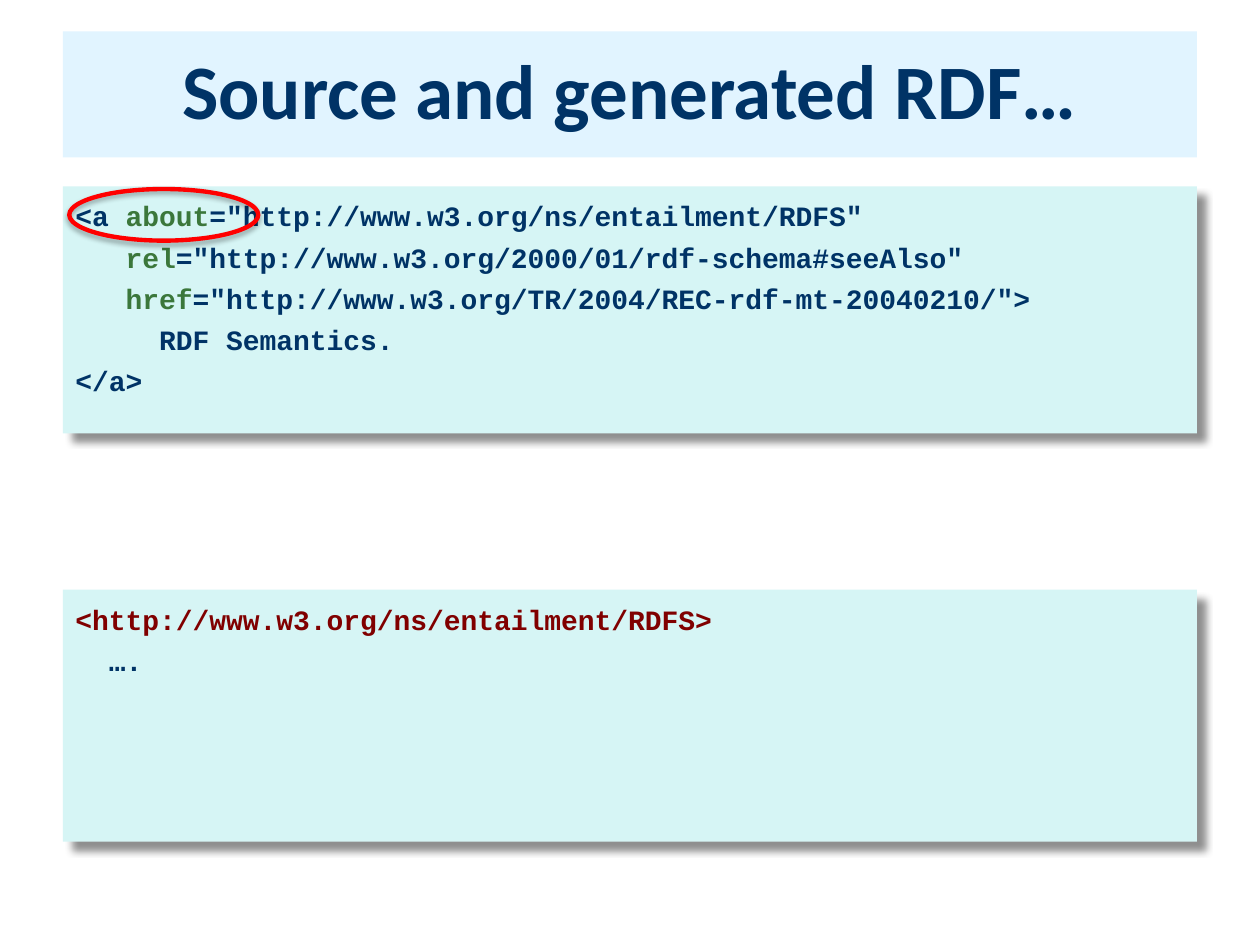
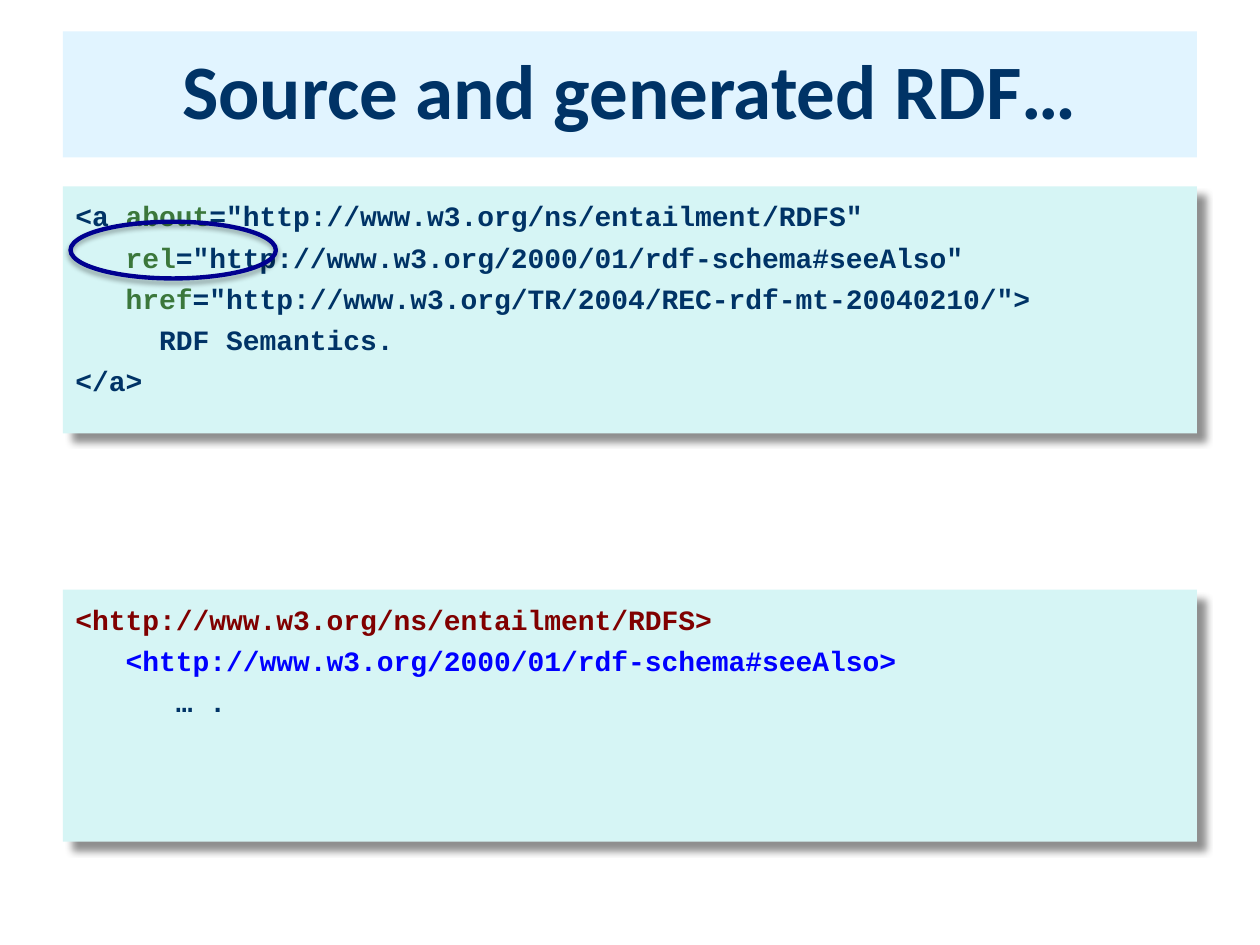
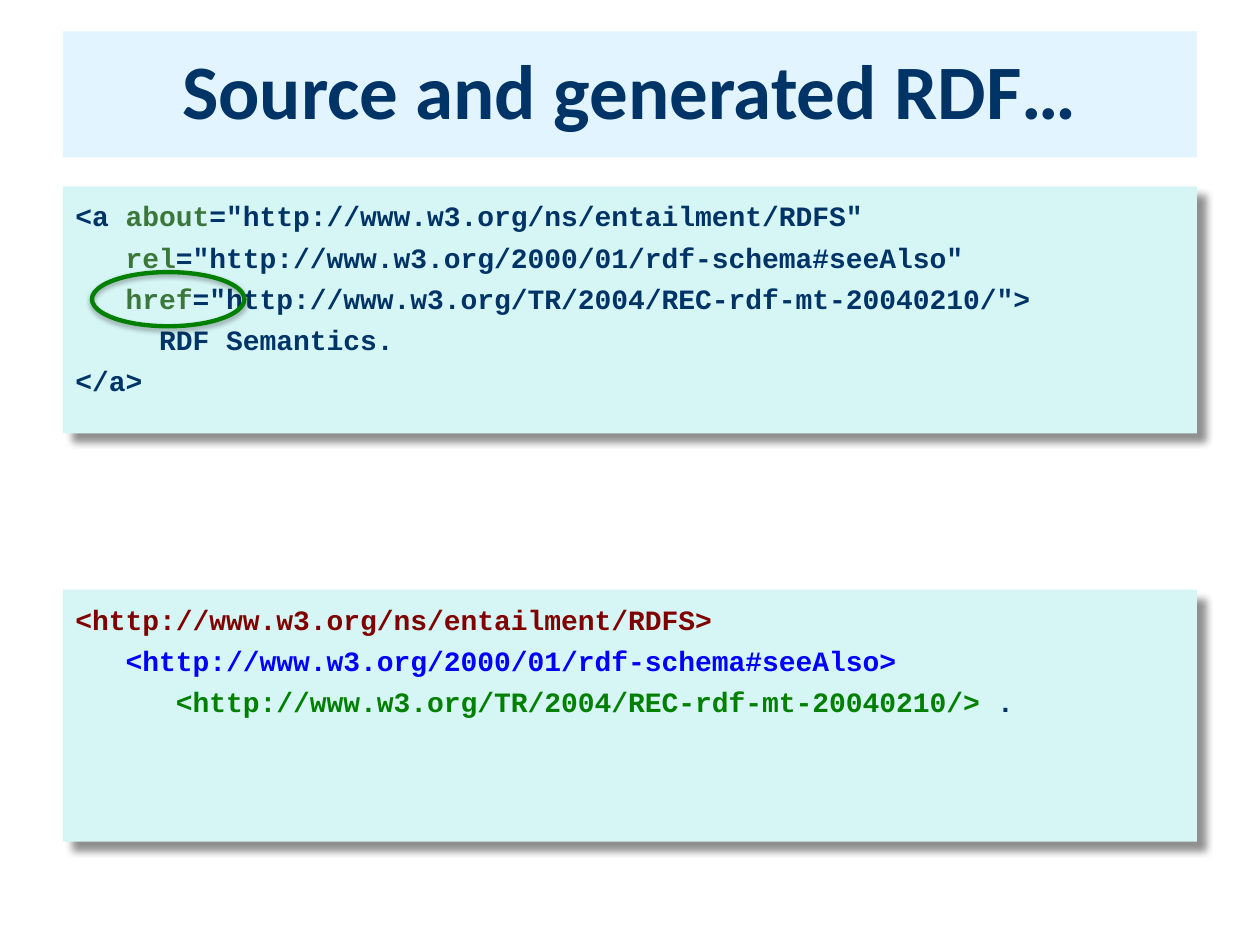
from lxml import etree
from pptx import Presentation
from pptx.dml.color import RGBColor
from pptx.enum.shapes import MSO_SHAPE
from pptx.enum.text import MSO_ANCHOR, PP_ALIGN
from pptx.oxml.ns import qn
from pptx.util import Inches, Pt

RECT, OVAL = MSO_SHAPE.RECTANGLE, MSO_SHAPE.OVAL
TOP, MIDDLE = MSO_ANCHOR.TOP, MSO_ANCHOR.MIDDLE
LEFT, CENTER = PP_ALIGN.LEFT, PP_ALIGN.CENTER

NAVY, ATTRIBUTE = "003366", "3B773B"
SUBJECT, PREDICATE, OBJECT = "800000", "0000FF", "008000"
TITLE_FILL, CODE_FILL = "E1F4FF", "D6F5F5"

TITLE = "Source and generated RDF…"
TITLE_BOX = (0.5, 0.25, 9, 1)
SOURCE_BOX = (0.5, 1.48, 9, 1.96)
RESULT_BOX = (0.5, 4.68, 9, 2)

TITLE_FONT = {"name": "Calibri", "size": Pt(44), "bold": True}
CODE_FONT = {"name": "Courier New", "size": Pt(16), "bold": True}

# opacity in percent, blur and distance in points, direction in degrees
BOX_SHADOW = (43, 4, 7, 45)
RING_SHADOW = (35, 3.1, 1.8, 90)

# Each code line is a list of (text, colour) runs
SOURCE = [
    [("<a ", NAVY), ("about", ATTRIBUTE),
     ('="http://www.w3.org/ns/entailment/RDFS"', NAVY)],
    [("   rel", ATTRIBUTE),
     ('="http://www.w3.org/2000/01/rdf-schema#seeAlso"', NAVY)],
    [("   href", ATTRIBUTE),
     ('="http://www.w3.org/TR/2004/REC-rdf-mt-20040210/">', NAVY)],
    [("     RDF Semantics.", NAVY)],
    [("</a>", NAVY)],
]
SUBJECT_LINE = [("<http://www.w3.org/ns/entailment/RDFS>", SUBJECT)]
PREDICATE_LINE = [("   ", NAVY),
                  ("<http://www.w3.org/2000/01/rdf-schema#seeAlso>", PREDICATE)]
OBJECT_LINE = [("      ", NAVY),
               ("<http://www.w3.org/TR/2004/REC-rdf-mt-20040210/>", OBJECT),
               (" .", NAVY)]

STEPS = [
    {"result": [SUBJECT_LINE, [("  ….", NAVY)]],
     "ring": (0.55, 1.5, 1.5, 0.41), "color": "FF0000"},
    {"result": [SUBJECT_LINE, PREDICATE_LINE, [("      … .", NAVY)]],
     "ring": (0.56, 1.76, 1.63, 0.45), "color": "000090"},
    {"result": [SUBJECT_LINE, PREDICATE_LINE, OBJECT_LINE],
     "ring": (0.73, 2.16, 1.21, 0.43), "color": "008000"},
]


def rgb(color):
    return RGBColor.from_string(color)


def add_shadow(sp, opacity, blur, distance, angle):
    effects = sp._element.spPr.find(qn("a:effectLst"))
    shadow = etree.SubElement(
        effects, qn("a:outerShdw"), blurRad=str(Pt(blur)), dist=str(Pt(distance)),
        dir=str(angle * 60000), algn="tl", rotWithShape="0")
    color = etree.SubElement(shadow, qn("a:srgbClr"), val="000000")
    etree.SubElement(color, qn("a:alpha"), val=str(opacity * 1000))


def add_shape(slide, kind, box, fill=None, line=None, shadow=None):
    sp = slide.shapes.add_shape(kind, *map(Inches, box))
    sp.shadow.inherit = False
    for target, color in ((sp.fill, fill), (sp.line.fill, line)):
        if color:
            target.solid()
            target.fore_color.rgb = rgb(color)
        else:
            target.background()
    if shadow:
        add_shadow(sp, *shadow)
    return sp


def write(sp, lines, font, anchor, paragraph_format, gap=0):
    """Fill a shape with lines of coloured runs, gap points apart."""
    tf = sp.text_frame
    tf.word_wrap = True
    tf.vertical_anchor = anchor
    for i, line in enumerate(lines):
        p = tf.add_paragraph() if i else tf.paragraphs[0]
        if i:
            p.space_before = Pt(gap)
        for name, value in paragraph_format.items():
            setattr(p, name, value)
        for text, color in line:
            r = p.add_run()
            r.text = text
            for name, value in font.items():
                setattr(r.font, name, value)
            r.font.color.rgb = rgb(color)


def add_title(slide):
    sp = add_shape(slide, RECT, TITLE_BOX, TITLE_FILL)
    write(sp, [[(TITLE, NAVY)]], TITLE_FONT, MIDDLE,
          {"alignment": CENTER, "line_spacing": 0.9})


def add_code(slide, box, lines):
    sp = add_shape(slide, RECT, box, CODE_FILL, shadow=BOX_SHADOW)
    sp.text_frame.margin_top = Inches(0.1)
    write(sp, lines, CODE_FONT, TOP, {"alignment": LEFT}, gap=4.3)


def add_ring(slide, box, color):
    sp = add_shape(slide, OVAL, box, line=color, shadow=RING_SHADOW)
    sp.line.width = Pt(2.5)


def main():
    prs = Presentation()
    prs.slide_width, prs.slide_height = Inches(10), Inches(7.5)
    for step in STEPS:
        slide = prs.slides.add_slide(prs.slide_layouts[6])
        add_title(slide)
        add_code(slide, SOURCE_BOX, SOURCE)
        add_code(slide, RESULT_BOX, step["result"])
        add_ring(slide, step["ring"], step["color"])
    prs.save("out.pptx")


if __name__ == "__main__":
    main()
